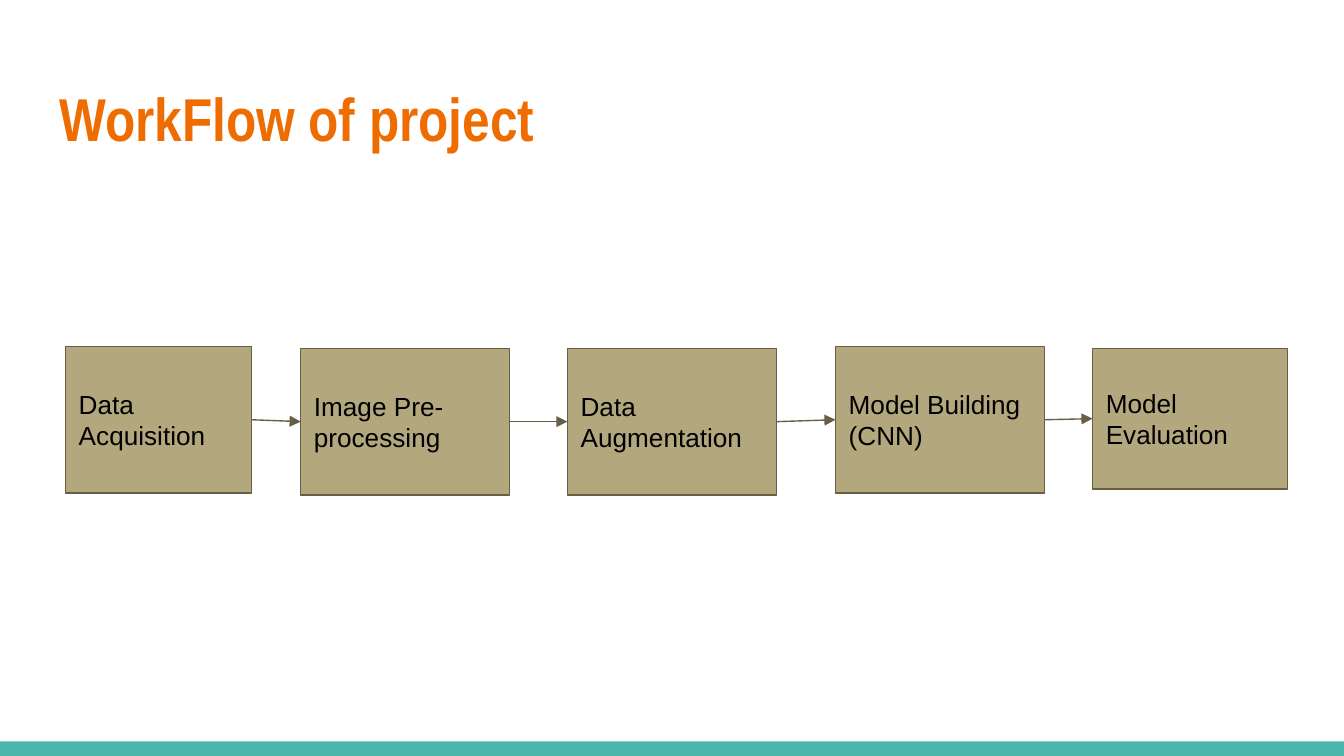
from lxml import etree
from pptx import Presentation
from pptx import util as u
from pptx.dml.color import RGBColor
from pptx.enum import shapes, text
from pptx.oxml.ns import qn

ORANGE = RGBColor(0xEF, 0x6C, 0x00)
TEAL = RGBColor(0x4D, 0xB6, 0xAC)
KHAKI = RGBColor(0xB3, 0xA7, 0x7D)
BROWN = RGBColor(0x69, 0x5D, 0x46)
BLACK = RGBColor(0, 0, 0)


def write(shape, words, size, font, color, bold=False):
    """Fill a shape with one left-aligned, vertically centred paragraph."""
    frame = shape.text_frame
    frame.word_wrap = True
    frame.auto_size = text.MSO_AUTO_SIZE.NONE
    frame.vertical_anchor = text.MSO_ANCHOR.MIDDLE
    frame.margin_left = frame.margin_right = u.Pt(7.2)
    frame.margin_top = frame.margin_bottom = u.Pt(7.2)
    para = frame.paragraphs[0]
    para.alignment = text.PP_ALIGN.LEFT
    span = para.add_run()
    span.text = words
    span.font.size = u.Pt(size)
    span.font.name = font
    span.font.bold = bold
    span.font.color.rgb = color


def add_rectangle(page, left, top, width, height, fill):
    box = page.shapes.add_shape(shapes.MSO_SHAPE.RECTANGLE, u.Pt(left), u.Pt(top),
                                u.Pt(width), u.Pt(height))
    box.shadow.inherit = False
    box.fill.solid()
    box.fill.fore_color.rgb = fill
    return box


deck = Presentation()
deck.slide_width, deck.slide_height = u.Pt(720), u.Pt(405)
page = deck.slides.add_slide(deck.slide_layouts[5])

title = page.shapes.title
title.left, title.top = u.Pt(24.5), u.Pt(35.3)
title.width, title.height = u.Pt(671), u.Pt(55.4)
write(title, "WorkFlow of project", size=32.4, font="Arial Narrow", color=ORANGE, bold=True)

footer_bar = add_rectangle(page, 0, 397.2, 720, 7.8, TEAL)
footer_bar.line.fill.background()

# label, left, top, width, height
steps = [
    ("Data Acquisition", 35.1, 185.6, 99.8, 78.6),
    ("Image Pre-processing", 161.1, 186.6, 111.9, 78.6),
    ("Data Augmentation", 304, 186.6, 111.9, 78.6),
    ("Model Building (CNN)", 447.6, 185.6, 111.9, 78.6),
    ("Model Evaluation", 585.3, 186.6, 104.5, 75.4),
]
boxes = []
for label, left, top, width, height in steps:
    box = add_rectangle(page, left, top, width, height, KHAKI)
    box.line.color.rgb = BROWN
    box.line.width = u.Pt(0.75)
    write(box, label, size=14, font="Arial", color=BLACK)
    boxes.append(box)

for before, after in zip(boxes, boxes[1:]):
    arrow = page.shapes.add_connector(shapes.MSO_CONNECTOR.STRAIGHT, 0, 0, 0, 0)
    arrow.begin_connect(before, 3)
    arrow.end_connect(after, 1)
    arrow.line.color.rgb = BROWN
    arrow.line.width = u.Pt(0.75)
    etree.SubElement(arrow.line._get_or_add_ln(), qn("a:tailEnd"), type="triangle",
                     w="med", len="med")
    etree.SubElement(arrow._element.spPr, qn("a:effectLst"))

deck.save("out.pptx")
